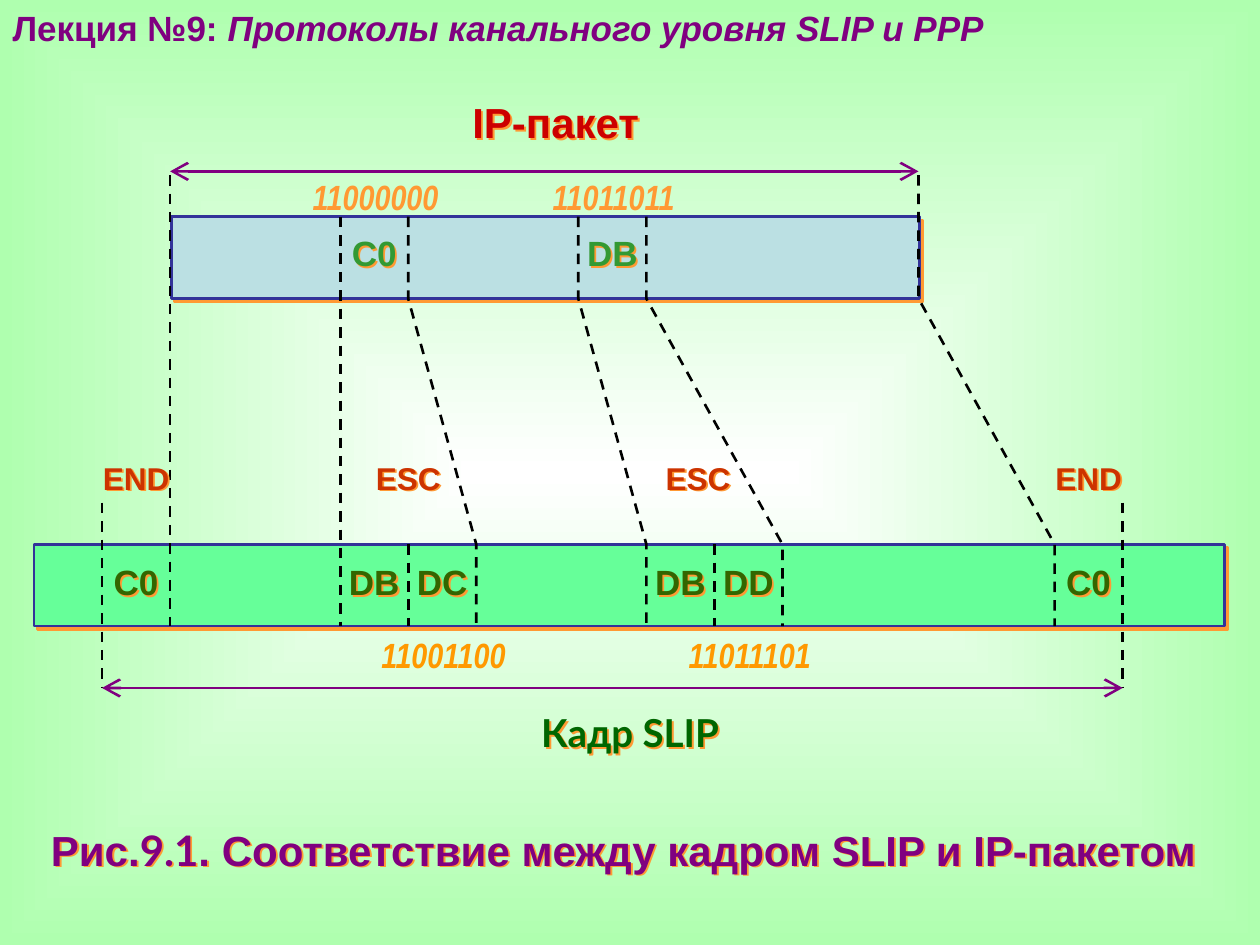
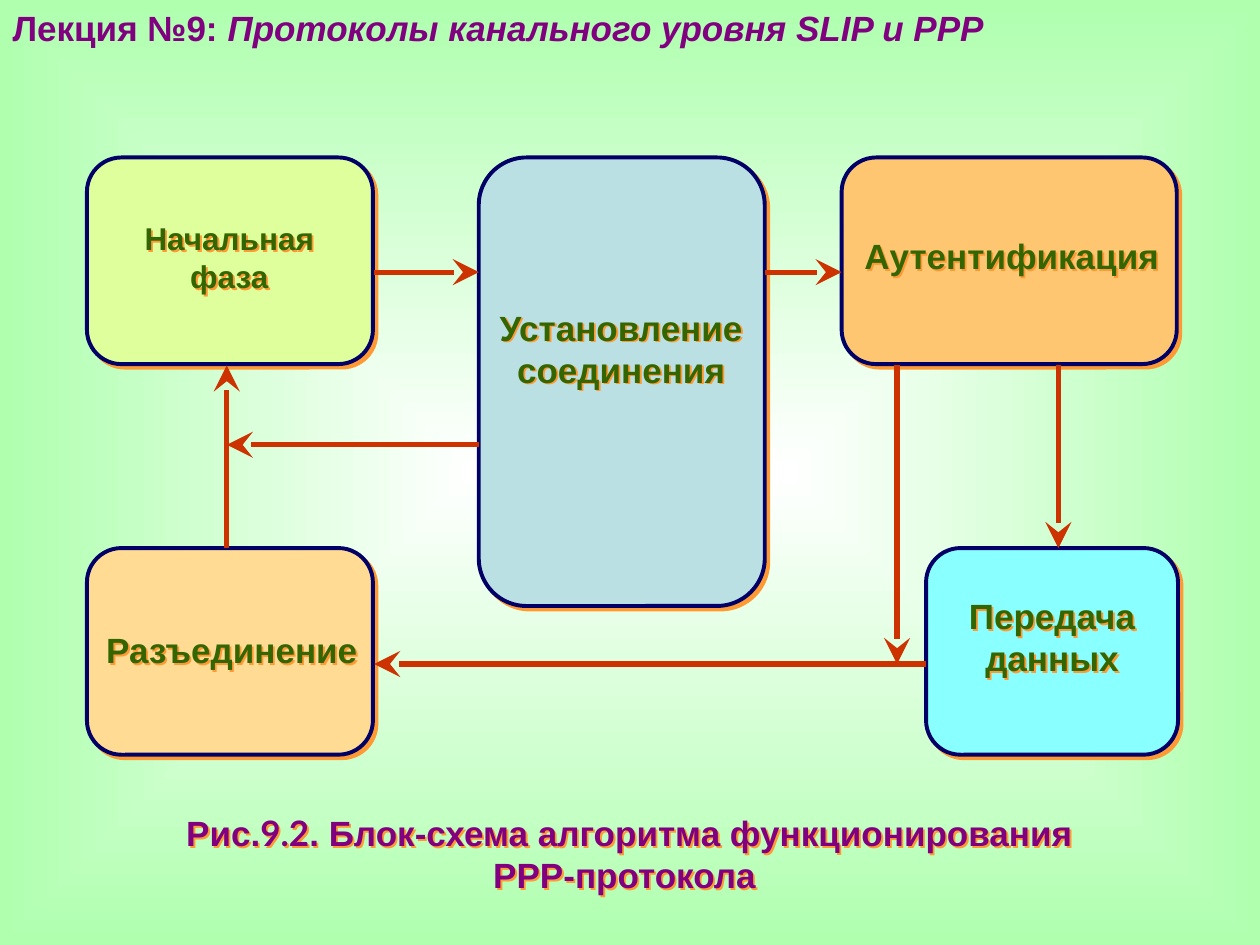
from lxml.etree import SubElement
from pptx import Presentation
from pptx.dml.color import RGBColor
from pptx.enum.dml import MSO_LINE
from pptx.enum.shapes import MSO_CONNECTOR, MSO_SHAPE
from pptx.enum.text import MSO_ANCHOR, MSO_AUTO_SIZE, PP_ALIGN
from pptx.oxml.ns import qn
from pptx.util import Inches, Pt

BLACK = RGBColor(0x00, 0x00, 0x00)
WHITE = RGBColor(0xFF, 0xFF, 0xFF)
MINT = RGBColor(0xAF, 0xFF, 0xAF)
PURPLE = RGBColor(0x80, 0x00, 0x80)
SHADOW = RGBColor(0xFF, 0x99, 0x33)
AMBER = RGBColor(0xFF, 0x99, 0x00)
RED = RGBColor(0xCC, 0x00, 0x00)
RUST = RGBColor(0xCC, 0x33, 0x00)
OLIVE = RGBColor(0x33, 0x66, 0x00)
GREEN = RGBColor(0x33, 0x99, 0x33)
DARK_GREEN = RGBColor(0x00, 0x66, 0x00)
INDIGO = RGBColor(0x33, 0x33, 0x99)
NAVY = RGBColor(0x00, 0x00, 0x66)
PALE_BLUE = RGBColor(0xBB, 0xE0, 0xE3)
FRAME_GREEN = RGBColor(0x66, 0xFF, 0x99)
LIME = RGBColor(0xDE, 0xFF, 0x9B)
PEACH = RGBColor(0xFF, 0xDB, 0x93)
ORANGE = RGBColor(0xFF, 0xC6, 0x71)
CYAN = RGBColor(0x89, 0xFF, 0xFF)

BOX_SHADOW, TEXT_SHADOW = 2.8, 1.5

LECTURE = ("Лекция №9: ", "Протоколы канального уровня SLIP и PPP")

COL0, COL = 0.27, 0.54
PACKET_Y, FRAME_Y, BAR_H = 1.72, 4.32, 0.65
PACKET_BYTES = [(4.5, "C0"), (8, "DB")]
FRAME_BYTES = [(1, "C0"), (4.5, "DB"), (5.5, "DC"), (9, "DB"), (10, "DD"), (15, "C0")]
MARKS = [(1, "END"), (5, "ESC"), (9.26, "ESC"), (15, "END")]
BITS = [
    (2.98, 1.39, "11000000", SHADOW),
    (4.87, 1.39, "11011011", SHADOW),
    (3.52, 5.03, "11001100", AMBER),
    (5.95, 5.03, "11011101", AMBER),
]
DASHES = [(2, 1.39, 4.97), (4.5, 1.72, 4.97), (1, 3.99, 5.46),
          (16, 3.99, 5.46), (5.5, 4.32, 4.97), (10, 4.32, 4.97)]
LINKS = [(5.5, 6.5, 1.72), (8, 9, 1.72), (9, 11, 1.72), (13, 15, 1.39)]
SPANS = [(2, 13, 1.36), (1, 16, 5.46)]

TOP, LOW, BOX_H = 1.25, 4.35, 1.64
PHASES = [
    (0.69, TOP, 2.27, BOX_H, LIME, ["Начальная", "фаза"], 1.82, 1.74, 18),
    (0.69, LOW, 2.27, BOX_H, PEACH, ["Разъединение"], 1.84, 4.99, 20),
    (3.8, TOP, 2.27, 3.56, PALE_BLUE, ["Установление", "соединения"], 4.93, 2.43, 20),
    (6.68, TOP, 2.66, BOX_H, ORANGE, ["Аутентификация"], 8.03, 1.86, 20),
    (7.35, LOW, 2, BOX_H, CYAN, ["Передача", "данных"], 8.35, 4.72, 20),
]
LABEL_W = 2.4
ARROWS = [
    (2.97, 2.16, 3.8, 2.16),
    (6.07, 2.16, 6.68, 2.16),
    (1.8, LOW, 1.8, 2.9),
    (8.4, 2.9, 8.4, LOW),
    (7.12, 2.9, 7.12, 5.27),
    (3.8, 3.53, 1.8, 3.53),
    (7.35, 5.27, 2.97, 5.27),
]


def col(n):
    return COL0 + COL * n


def set_effect(sp, distance=0):
    effects = SubElement(sp._element.spPr, qn("a:effectLst"))
    if distance:
        outer = SubElement(effects, qn("a:outerShdw"), dist=str(Pt(distance)),
                           dir="2700000", algn="ctr", rotWithShape="0")
        SubElement(outer, qn("a:srgbClr"), val=str(SHADOW))


def set_background(master):
    fill = master.background.fill
    fill.gradient()
    for stop, color, pos in zip(fill.gradient_stops, (WHITE, MINT), (0, 1)):
        stop.color.rgb = color
        stop.position = pos
    grad = master._element.find(".//" + qn("a:gradFill"))
    grad.remove(grad.find(qn("a:lin")))
    shade = SubElement(grad, qn("a:path"))
    shade.set("path", "shape")
    SubElement(shade, qn("a:fillToRect"), l="50000", t="50000", r="50000", b="50000")


def add_slide(prs):
    s = prs.slides.add_slide(prs.slide_layouts[5])
    title = s.shapes.title
    title.left, title.top, title.width, title.height = map(Inches, (0, 0, 7.97, 0.43))
    tf = title.text_frame
    tf.auto_size = MSO_AUTO_SIZE.NONE
    tf.vertical_anchor = MSO_ANCHOR.TOP
    p = tf.paragraphs[0]
    p.alignment = PP_ALIGN.LEFT
    set_font(p.font, 20, PURPLE)
    for text, italic in zip(LECTURE, (False, True)):
        r = p.add_run()
        r.text = text
        r.font.italic = italic
    return s


def set_font(font, size, color, name="Arial", italic=False):
    font.size, font.name, font.bold = Pt(size), name, True
    font.color.rgb = color
    if italic:
        font.italic = True


def add_text(s, x, y, w, h, lines, size, color, name="Arial", italic=False,
             shadow=TEXT_SHADOW):
    sp = s.shapes.add_textbox(*map(Inches, (x, y, w, h)))
    set_effect(sp, shadow)
    tf = sp.text_frame
    tf.word_wrap = False
    tf.margin_left = tf.margin_right = tf.margin_top = tf.margin_bottom = 0
    for i, line in enumerate(lines):
        p = tf.add_paragraph() if i else tf.paragraphs[0]
        p.alignment = PP_ALIGN.CENTER
        set_font(p.font, size, color, name, italic)
        for part in [line] if isinstance(line, str) else line:
            r = p.add_run()
            r.text = part
            if part.startswith("9."):
                r.font.name = "Lato"


def add_box(s, kind, x, y, w, h, fill, line, width):
    sp = s.shapes.add_shape(kind, *map(Inches, (x, y, w, h)))
    sp.fill.solid()
    sp.fill.fore_color.rgb = fill
    sp.line.color.rgb = line
    sp.line.width = Pt(width)
    set_effect(sp, BOX_SHADOW)


def style_line(sp, color, width, dash=False, head=None, tail=None):
    sp.line.color.rgb = color
    sp.line.width = Pt(width)
    if dash:
        sp.line.dash_style = MSO_LINE.DASH
    ln = sp._element.spPr.find(qn("a:ln"))
    for tag, end in (("a:headEnd", head), ("a:tailEnd", tail)):
        if end:
            SubElement(ln, qn(tag), type=end, w="lg", len="lg")
    set_effect(sp)


def add_line(s, x1, y1, x2, y2, color, width, **ends):
    cx = s.shapes.add_connector(MSO_CONNECTOR.STRAIGHT, *map(Inches, (x1, y1, x2, y2)))
    style_line(cx, color, width, **ends)


def add_link(s, points):
    (x, y), *rest = [(Inches(px), Inches(py)) for px, py in points]
    builder = s.shapes.build_freeform(x, y)
    builder.add_line_segments(rest, close=False)
    sp = builder.convert_to_shape()
    sp.fill.background()
    style_line(sp, BLACK, 1.5, dash=True)


def build_slip(prs):
    s = add_slide(prs)
    add_box(s, MSO_SHAPE.RECTANGLE, 1.36, PACKET_Y, 5.94, BAR_H, PALE_BLUE, INDIGO, 1.5)
    add_box(s, MSO_SHAPE.RECTANGLE, COL0, FRAME_Y, 9.45, BAR_H, FRAME_GREEN, INDIGO, 1.5)
    for n, y1, y2 in DASHES:
        add_line(s, col(n), y1, col(n), y2, BLACK, 1.5, dash=True)
    for upper, lower, y in LINKS:
        add_link(s, [(col(upper), y), (col(upper), PACKET_Y + BAR_H),
                     (col(lower), FRAME_Y), (col(lower), FRAME_Y + BAR_H)])
    for first, last, y in SPANS:
        add_line(s, col(first), y, col(last), y, PURPLE, 1.5, head="arrow", tail="arrow")
    add_text(s, 3.6, 0.77, 1.62, 0.43, ["IP-пакет"], 24, RED)
    add_text(s, 4.19, 5.63, 1.62, 0.39, ["Кадр SLIP"], 22, DARK_GREEN, "Lato")
    for items, y, size, color in ((MARKS, 3.64, 18, RUST),
                                  (PACKET_BYTES, 1.84, 20, GREEN),
                                  (FRAME_BYTES, 4.45, 20, OLIVE)):
        for n, text in items:
            add_text(s, col(n), y, COL, 0.41, [text], size, color)
    for center, y, text, color in BITS:
        add_text(s, center - 0.54, y, 1.08, 0.33, [text], 20, color,
                 "Arial Narrow", True, shadow=0)
    caption = ("Рис.", "9.1", ". Соответствие между кадром SLIP и IP-пакетом ")
    add_text(s, COL0, 6.54, 9.45, 0.45, [caption], 24, PURPLE)


def build_ppp(prs):
    s = add_slide(prs)
    for x, y, w, h, fill, *_ in PHASES:
        add_box(s, MSO_SHAPE.ROUNDED_RECTANGLE, x, y, w, h, fill, NAVY, 2.25)
    for ends in ARROWS:
        add_line(s, *ends, RUST, 3, tail="stealth")
    for *_, lines, center, y, size in PHASES:
        add_text(s, center - LABEL_W / 2, y, LABEL_W, 0.38 * len(lines), lines, size, OLIVE)
    caption = [("Рис.", "9.2", ". Блок-схема алгоритма функционирования"), "РРР-протокола "]
    add_text(s, COL0, 6.44, 9.45, 0.72, caption, 20, PURPLE)


def main():
    prs = Presentation()
    prs.slide_width, prs.slide_height = Inches(10), Inches(7.5)
    set_background(prs.slide_master)
    build_slip(prs)
    build_ppp(prs)
    prs.save("out.pptx")


if __name__ == "__main__":
    main()
